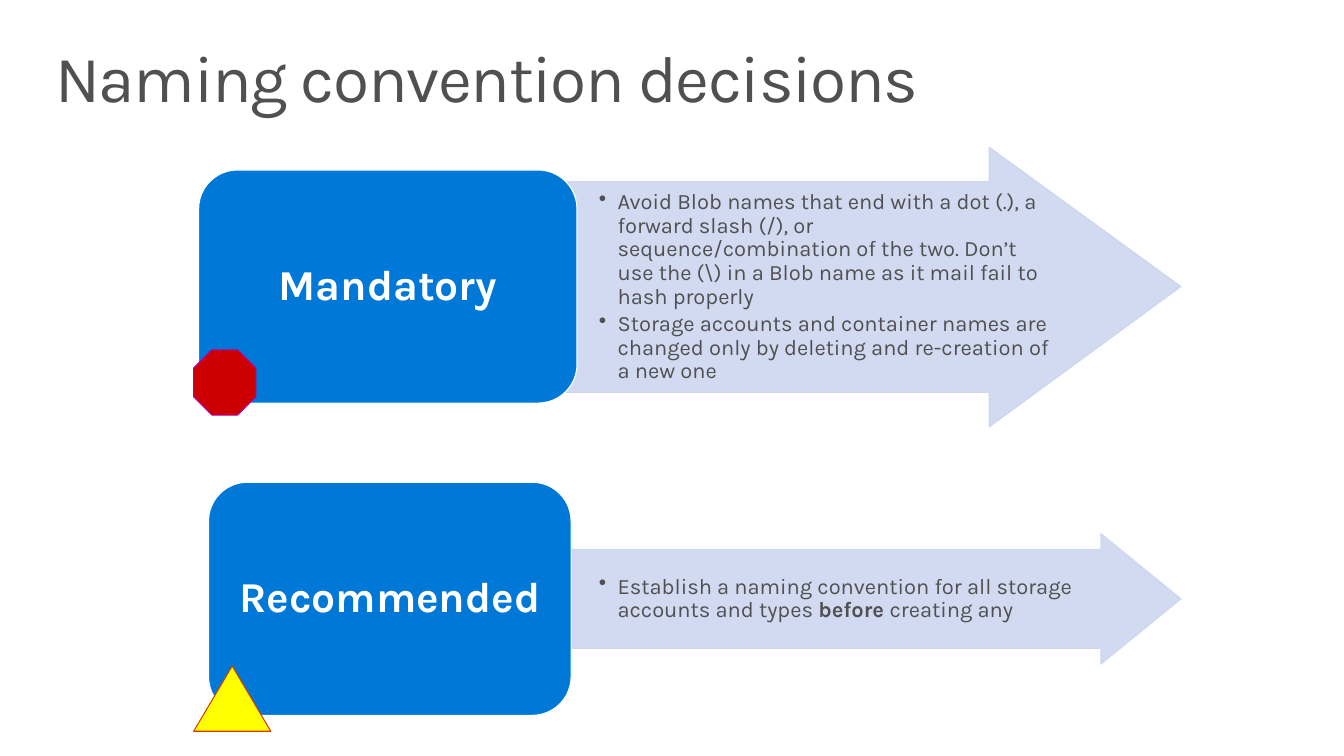
"""Build the slide on naming convention decisions."""
from lxml.etree import SubElement
from pptx import Presentation
from pptx.dml.color import RGBColor
from pptx.enum.shapes import MSO_SHAPE
from pptx.enum.text import MSO_ANCHOR, PP_ALIGN
from pptx.oxml.ns import qn
from pptx.util import Pt

PX = 9144
TIP = 1195
RULES = [
    ("Mandatory", (201, 172, 383, 236), (149, 283, 1001), (45, 132), [
        [("Avoid Blob names that end with a dot (.), a forward slash (/), or "
          "sequence/combination of the two. Don’t use the (\\) in a Blob name "
          "as it mail fail to hash properly", False)],
        [("Storage accounts and container names are changed only by deleting "
          "and re-creation of a new one", False)],
    ]),
    ("Recommended", (211, 488, 367, 236), (540, 132, 1114), (18, 51), [
        [("Establish a naming convention for all storage accounts and types ", False),
         ("before ", True), ("creating any", False)],
    ]),
]
SIGNS = [
    (MSO_SHAPE.ISOSCELES_TRIANGLE, (196, 674, 78, 66), "FFFF00", "D83B01"),
    (MSO_SHAPE.OCTAGON, (196, 354, 63, 66), "CC0000", "B4009E"),
]


def paint(shape, fill, line, width):
    shape.shadow.inherit = False
    shape.fill.solid()
    shape.fill.fore_color.rgb = RGBColor.from_string(fill)
    shape.line.color.rgb = RGBColor.from_string(line)
    shape.line.width = Pt(width)


def style(para, size, color, bold=None):
    para.line_spacing = 0.9
    para.font.size = Pt(size)
    para.font.name = "Karla"
    para.font.bold = bold
    para.font.color.rgb = RGBColor.from_string(color)


deck = Presentation()
deck.slide_width, deck.slide_height = 1360 * PX, 765 * PX
slide = deck.slides.add_slide(deck.slide_layouts[6])
shapes = slide.shapes

title = shapes.add_textbox(40 * PX, 32 * PX, 1280 * PX, 100 * PX)
frame = title.text_frame
frame.word_wrap = True
frame.vertical_anchor = MSO_ANCHOR.MIDDLE
frame.margin_left = frame.margin_right = 16 * PX
frame.margin_top = frame.margin_bottom = 10 * PX
para = frame.paragraphs[0]
run = para.add_run()
run.text = "Naming convention decisions"
run._r.get_or_add_rPr().set("spc", "-100")
style(para, 48, "505050")

for name, box, (top, height, neck), (pad, right), points in RULES:
    low, high = top + height, top + height / 8
    base = low - height / 8
    pen = shapes.build_freeform(554, high, scale=PX)
    pen.add_line_segments([(neck, high), (neck, top), (TIP, top + height / 2),
                           (neck, low), (neck, base), (554, base)])
    arrow = pen.convert_to_shape()
    paint(arrow, "CCD6F0", "CCD6F0", 0.85)
    for tint in arrow._element.spPr.iter(qn("a:srgbClr")):
        SubElement(tint, qn("a:alpha"), val="90000")
    frame = arrow.text_frame
    frame.word_wrap = True
    frame.vertical_anchor = MSO_ANCHOR.MIDDLE
    frame.margin_left, frame.margin_right = 1 * PX, right * PX
    frame.margin_top = frame.margin_bottom = pad * PX
    for index, runs in enumerate(points):
        para = frame.add_paragraph() if index else frame.paragraphs[0]
        for text, bold in runs:
            run = para.add_run()
            run.text = text
            if bold:
                run.font.bold = True
        para.alignment = PP_ALIGN.LEFT
        para.space_after = Pt(2.4)
        props = para._p.get_or_add_pPr()
        props.set("marL", str(70 * PX))
        props.set("indent", str(-19 * PX))
        SubElement(props, qn("a:buChar"), char="•")
        style(para, 16, "505050")

    card = shapes.add_shape(MSO_SHAPE.ROUNDED_RECTANGLE, *(n * PX for n in box))
    paint(card, "0078D7", "FFFFFF", 0.85)
    frame = card.text_frame
    frame.word_wrap = True
    frame.vertical_anchor = MSO_ANCHOR.MIDDLE
    para = frame.paragraphs[0]
    para.text = name
    para.alignment = PP_ALIGN.CENTER
    style(para, 31, "FFFFFF", True)

for kind, box, fill, line in SIGNS:
    sign = shapes.add_shape(kind, *(n * PX for n in box))
    paint(sign, fill, line, 0.75)

deck.save("out.pptx")
